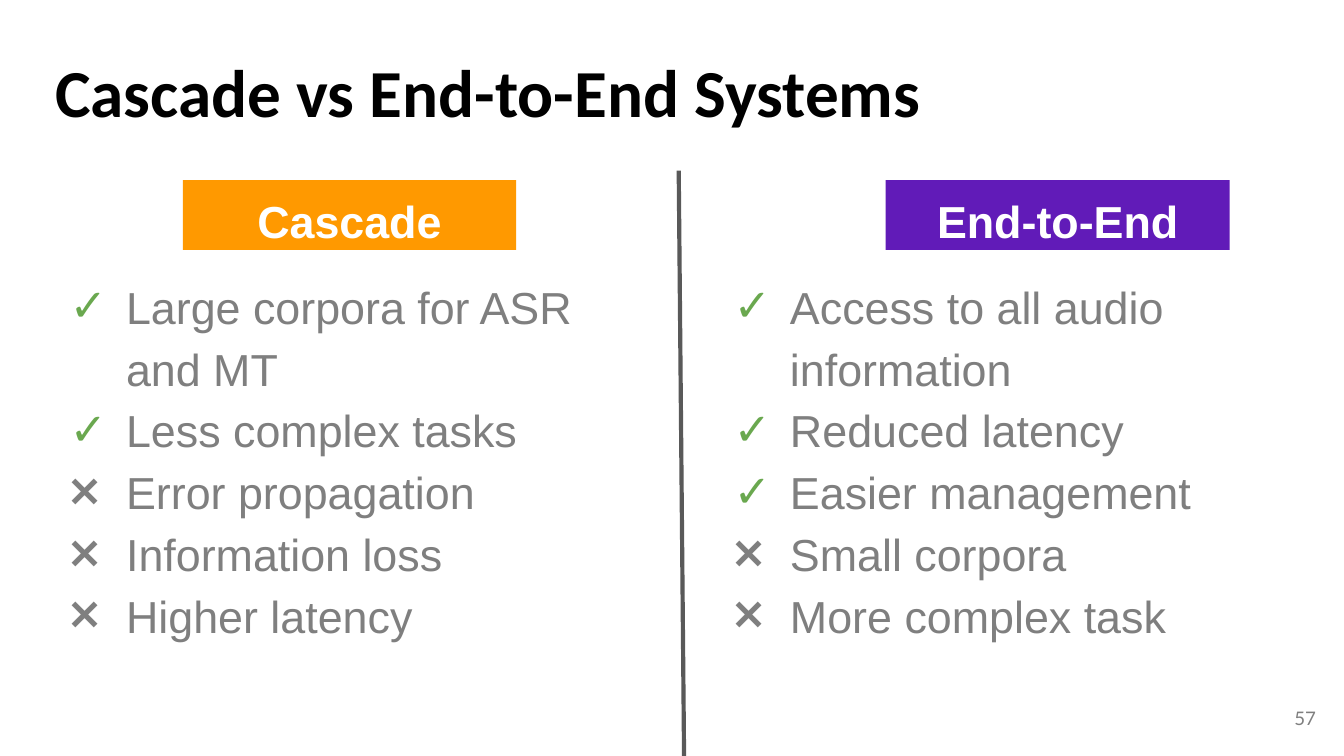
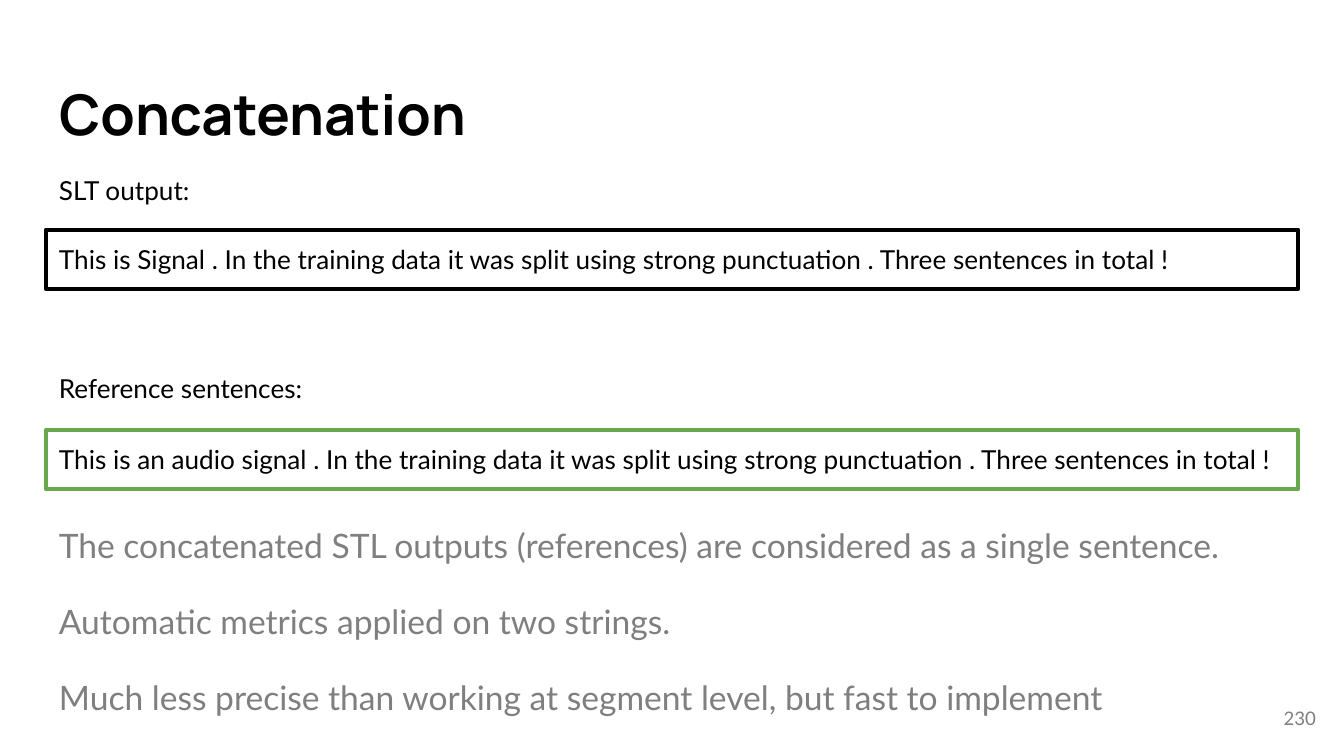
from dataclasses import dataclass

from lxml import etree
from pptx import Presentation
from pptx.dml.color import RGBColor
from pptx.enum.shapes import MSO_CONNECTOR, MSO_SHAPE
from pptx.enum.text import MSO_ANCHOR, MSO_AUTO_SIZE, PP_ALIGN
from pptx.oxml.ns import qn
from pptx.util import Inches, Pt

LEFT, CENTER, RIGHT = PP_ALIGN.LEFT, PP_ALIGN.CENTER, PP_ALIGN.RIGHT
TOP, MIDDLE = MSO_ANCHOR.TOP, MSO_ANCHOR.MIDDLE
TITLE_ONLY = 5


@dataclass(frozen=True)
class Theme:
    black: str = "000000"
    white: str = "FFFFFF"
    gray: str = "7F7F7F"
    rule: str = "595959"
    green: str = "6AA84F"
    orange: str = "FF9900"
    purple: str = "611BB8"
    sans: str = "Arial"
    text: str = "Lato"
    list_size: int = 24
    body_size: int = 18
    example_size: int = 14
    number_size: int = 10
    line_width: float = 2.25
    spacing: float = 1.15


T = Theme()

# Content
PRO, CON = ("✓", T.green), ("❌", T.gray)
COMPARISON = {
    "title": "Cascade vs End-to-End Systems",
    "number": "57",
    "columns": [
        # heading, colour, heading left and width, column left, points
        ("Cascade", T.orange, 1.36, 2.48, 0.34, [
            (PRO, "Large corpora for ASR and MT"),
            (PRO, "Less complex tasks"),
            (CON, "Error propagation"),
            (CON, "Information loss"),
            (CON, "Higher latency"),
        ]),
        ("End-to-End", T.purple, 6.59, 2.56, 5.28, [
            (PRO, "Access to all audio information"),
            (PRO, "Reduced latency"),
            (PRO, "Easier management"),
            (CON, "Small corpora"),
            (CON, "More complex task"),
        ]),
    ],
}
CONCATENATION = {
    "title": "Concatenation",
    "number": "230",
    "examples": [
        # label, its top, frame top, frame colour, sentence
        ("SLT output:", 1.2, 1.71, T.black,
         "This is Signal . In the training data it was split using strong "
         "punctuation . Three sentences in total !"),
        ("Reference sentences:", 2.67, 3.2, T.green,
         "This is an audio signal . In the training data it was split using "
         "strong punctuation . Three sentences in total !"),
    ],
    "remarks": [
        "The concatenated STL outputs (references) are considered as a single sentence.",
        "Automatic metrics applied on two strings.",
        "Much less precise than working at segment level, but fast to implement",
    ],
}

# Grid, in inches
WIDTH = 10
HEIGHT = WIDTH * 9 / 16
MARGIN = 0.34
FULL = WIDTH - 2 * MARGIN


def rgb(value):
    return RGBColor.from_string(value)


def box(left, top, width, height):
    return [Inches(v) for v in (left, top, width, height)]


def write(shape, lines, size, font, color, bold=False, align=LEFT,
          anchor=TOP, spacing=1.0, gap=0, marks=()):
    """Fill a shape with paragraphs, optionally with coloured bullet marks."""
    tf = shape.text_frame
    tf.text = "\n".join(lines)
    tf.word_wrap = True
    tf.auto_size = MSO_AUTO_SIZE.NONE
    tf.vertical_anchor = anchor
    tf.margin_left = tf.margin_right = tf.margin_top = tf.margin_bottom = Inches(0.1)
    for i, p in enumerate(tf.paragraphs):
        if marks:
            add_bullet(p, *marks[i])
        p.alignment = align
        p.line_spacing = spacing
        p.space_before = Pt(gap if i else 0)
        for r in p.runs:
            r.font.name, r.font.size, r.font.bold = font, Pt(size), bold
            r.font.color.rgb = rgb(color)


def add_bullet(p, char, color):
    pPr = p._p.get_or_add_pPr()
    pPr.set("marL", str(Inches(0.5)))
    pPr.set("indent", str(Inches(-0.42)))
    clr = etree.SubElement(pPr, qn("a:buClr"))
    etree.SubElement(clr, qn("a:srgbClr"), val=color)
    etree.SubElement(pPr, qn("a:buFont"), typeface=T.sans)
    etree.SubElement(pPr, qn("a:buChar"), char=char)


def add_text(s, place, lines, *style, **options):
    write(s.shapes.add_textbox(*box(*place)), lines, *style, **options)


def add_rect(s, place, fill=None, line=None):
    sp = s.shapes.add_shape(MSO_SHAPE.RECTANGLE, *box(*place))
    sp.shadow.inherit = False
    if fill:
        sp.fill.solid()
        sp.fill.fore_color.rgb = rgb(fill)
    else:
        sp.fill.background()
    if line:
        sp.line.color.rgb = rgb(line)
        sp.line.width = Pt(T.line_width)
    else:
        sp.line.fill.background()
    return sp


def new_slide(prs, content, title_place, size, font, spacing=1.0):
    """Slide with its title and page number."""
    s = prs.slides.add_slide(prs.slide_layouts[TITLE_ONLY])
    title = s.shapes.title
    title.left, title.top, title.width, title.height = box(*title_place)
    write(title, [content["title"]], size, font, T.black, bold=True, spacing=spacing)
    add_text(s, (9.29, 5.13, 0.6, 0.43), [content["number"]], T.number_size,
             T.text, T.gray, align=RIGHT, anchor=MIDDLE)
    return s


def build_comparison(prs):
    s = new_slide(prs, COMPARISON, (0.31, 0.34, FULL, 0.63), 36, "Calibri", 0.9)

    # Divider
    line = s.shapes.add_connector(MSO_CONNECTOR.STRAIGHT, Inches(5.05), Inches(1.27),
                                  Inches(5.09), Inches(HEIGHT))
    line.line.color.rgb = rgb(T.rule)
    line.line.width = Pt(T.line_width)
    etree.SubElement(line._element.spPr, qn("a:effectLst"))

    # Heading and points of each column
    for heading, color, tag_left, tag_width, left, points in COMPARISON["columns"]:
        tag = add_rect(s, (tag_left, 1.34, tag_width, 0.52), fill=color)
        write(tag, [heading], T.list_size, T.sans, T.white, bold=True, align=CENTER)
        marks, lines = zip(*points)
        add_text(s, (left, 1.92, 4.37, 3.41), lines, T.list_size, T.sans, T.gray,
                 spacing=T.spacing, marks=marks)


def build_concatenation(prs):
    s = new_slide(prs, CONCATENATION, (MARGIN, 0.49, FULL, 0.68), 30, "Manrope")

    # Labelled examples
    style = (T.example_size, T.text, T.black)
    for label, label_top, frame_top, color, sentence in CONCATENATION["examples"]:
        add_text(s, (MARGIN, label_top, 2.16, 0.67), [label], *style)
        frame = add_rect(s, (MARGIN, frame_top, FULL, 0.44), line=color)
        write(frame, [sentence], *style)

    # Remarks
    add_text(s, (MARGIN, 3.76, FULL, 1.69), CONCATENATION["remarks"], T.body_size,
             T.text, T.gray, spacing=T.spacing, gap=16)


def main():
    prs = Presentation()
    prs.slide_width, prs.slide_height = Inches(WIDTH), Inches(HEIGHT)
    build_comparison(prs)
    build_concatenation(prs)
    prs.save("out.pptx")


if __name__ == "__main__":
    main()
